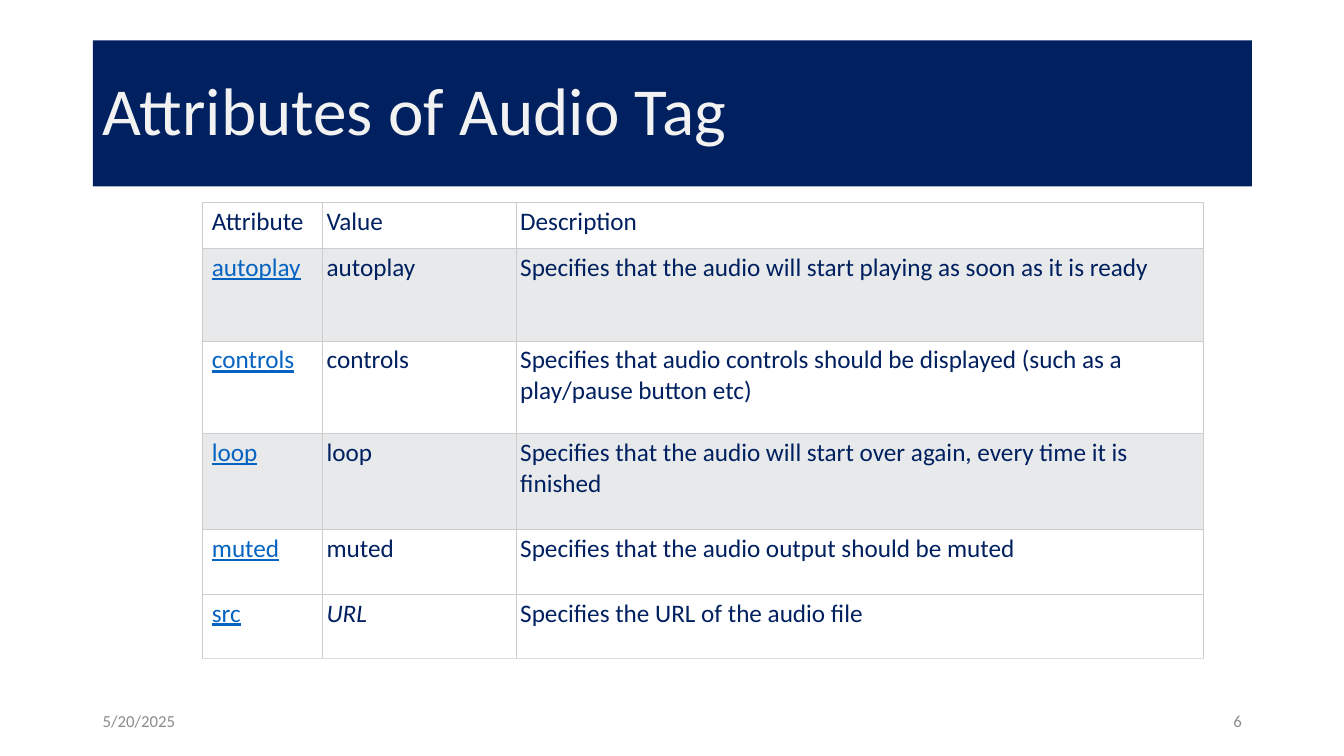
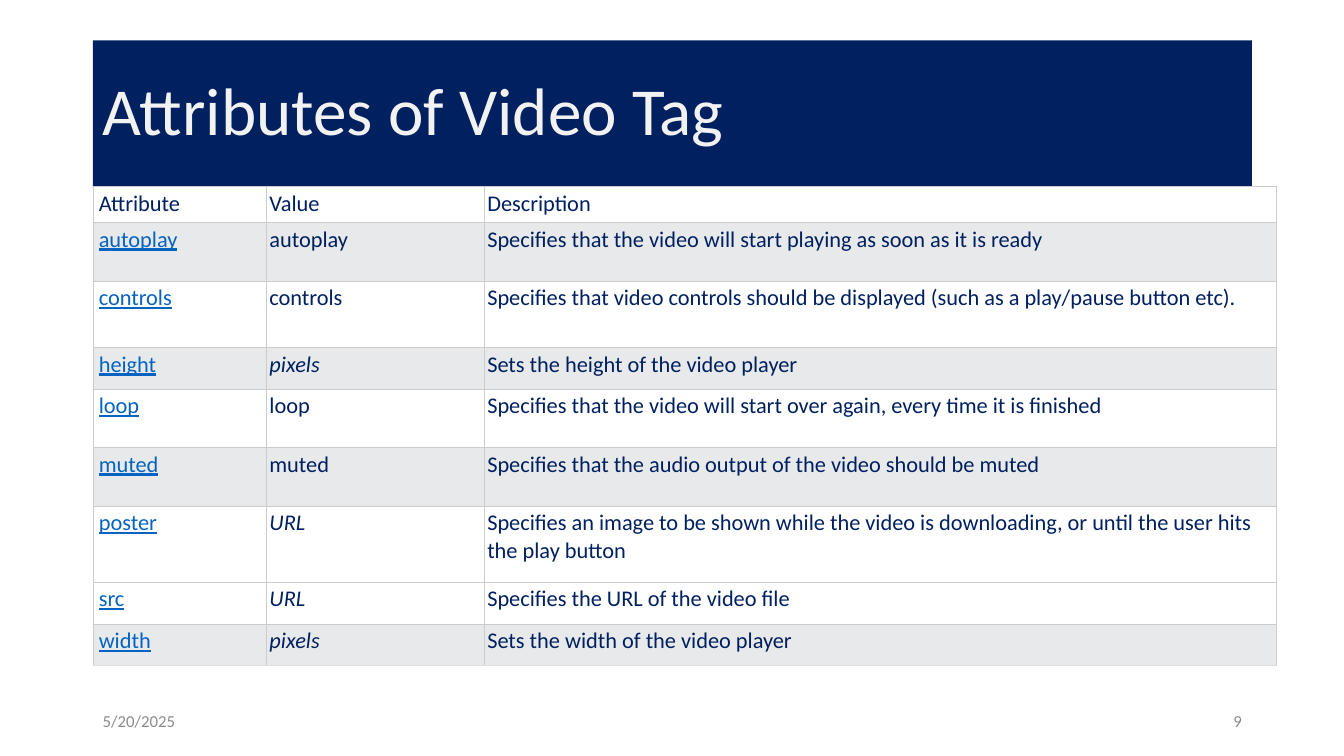
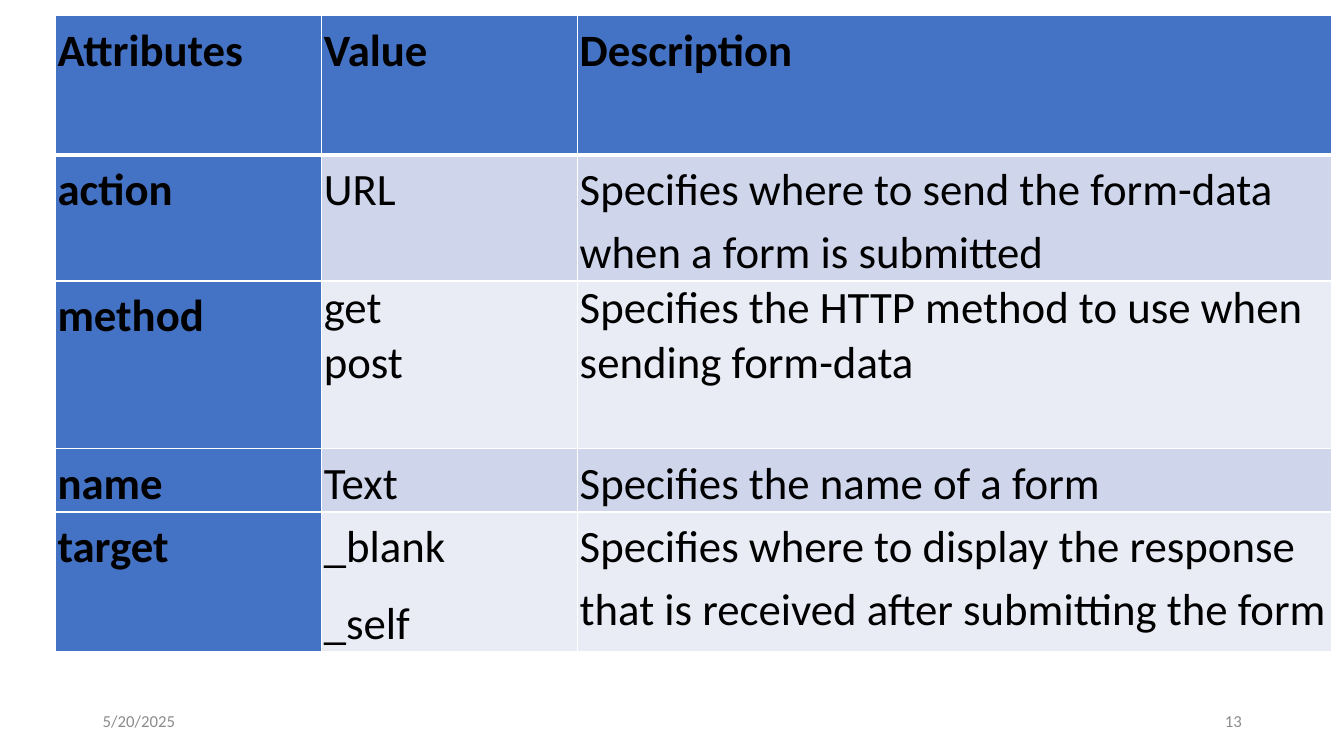
from collections.abc import Callable
from dataclasses import dataclass

from lxml import etree
from pptx import Presentation
from pptx.dml.color import RGBColor
from pptx.enum.shapes import MSO_SHAPE
from pptx.enum.text import MSO_ANCHOR, PP_ALIGN
from pptx.oxml.ns import qn
from pptx.slide import Slide
from pptx.table import _Cell
from pptx.text.text import TextFrame
from pptx.util import Cm, Pt

NAVY = RGBColor(0x00, 0x20, 0x60)
OFF_WHITE = RGBColor(0xF2, 0xF2, 0xF2)
WHITE = RGBColor(0xFF, 0xFF, 0xFF)
BLACK = RGBColor(0x00, 0x00, 0x00)
LINK_BLUE = RGBColor(0x05, 0x63, 0xC1)
ROW_GRAY = RGBColor(0xE7, 0xE9, 0xEB)
GRID_GRAY = RGBColor(0xCC, 0xCC, 0xCC)
GRID_END_GRAY = RGBColor(0xDD, 0xDD, 0xDD)
FOOTER_GRAY = RGBColor(0x8C, 0x8C, 0x8C)
HEAD_BLUE = RGBColor(0x44, 0x72, 0xC4)
BAND_DARK = RGBColor(0xCF, 0xD5, 0xEA)
BAND_LIGHT = RGBColor(0xE9, 0xEB, 0xF5)

FONT = "Calibri"
DATE = "5/20/2025"
RECTANGLE = MSO_SHAPE.RECTANGLE
MIDDLE = MSO_ANCHOR.MIDDLE
TOP = MSO_ANCHOR.TOP
LEFT = PP_ALIGN.LEFT
RIGHT = PP_ALIGN.RIGHT
BLANK_LAYOUT = 6

CONTENT_LEFT = 2.34
CONTENT_WIDTH = 29.21
FOOTER_TOP = 17.65
FOOTER_WIDTH = 7.62
FOOTER_HEIGHT = 1.01
PLACEHOLDER_VALUES = {"URL", "pixels"}


@dataclass(frozen=True)
class CellLook:
    fill: RGBColor
    color: RGBColor
    grid: RGBColor
    grid_below: RGBColor
    grid_width: float
    grid_below_width: float
    bold: bool = False
    italic: bool = False
    underline: bool = False
    line_spacing: float = 1.0
    space_after: float = 0


@dataclass(frozen=True)
class AttributeTable:
    """Lengths are centimetres; insets are first column, other columns, vertical."""
    left: float
    top: float
    columns: tuple[float, ...]
    heights: tuple[float, ...]
    font_size: int
    insets: tuple[float, float, float]
    rows: tuple[tuple[str, str, str], ...]
    look: Callable[["AttributeTable", int, int], CellLook]
    shaded_rows: tuple[int, ...]


@dataclass(frozen=True)
class AttributeSlide:
    title: str
    number: int
    table: AttributeTable


def reference_look(table: AttributeTable, row: int, column: int) -> CellLook:
    """Thin grey grid, with attribute names set like links."""
    is_name = row > 0 and column == 0
    is_last = row == len(table.rows) - 1
    return CellLook(
        fill=ROW_GRAY if row in table.shaded_rows else WHITE,
        color=LINK_BLUE if is_name else NAVY,
        grid=GRID_GRAY,
        grid_below=GRID_END_GRAY if is_last else GRID_GRAY,
        grid_width=0.5,
        grid_below_width=0.5,
        italic=column == 1 and table.rows[row][column] in PLACEHOLDER_VALUES,
        underline=is_name,
    )


def form_look(table: AttributeTable, row: int, column: int) -> CellLook:
    """Blue header row and first column over blue bands."""
    is_head = row == 0 or column == 0
    band = BAND_DARK if row in table.shaded_rows else BAND_LIGHT
    is_compact = table.rows[row][0] == "method" and column > 0
    return CellLook(
        fill=HEAD_BLUE if is_head else band,
        color=BLACK,
        grid=WHITE,
        grid_below=WHITE,
        grid_width=1,
        grid_below_width=3 if row == 0 else 1,
        bold=is_head,
        line_spacing=1.0 if is_compact else 1.15,
        space_after=0 if is_compact else 10,
    )


AUDIO = AttributeTable(
    left=5.11, top=5.11,
    columns=(3.02, 4.88, 17.32),
    heights=(1.15, 2.33, 2.33, 2.42, 1.63, 1.63),
    font_size=18, insets=(0.23, 0.1, 0.1),
    look=reference_look, shaded_rows=(1, 3),
    rows=(
        ("Attribute", "Value", "Description"),
        ("autoplay", "autoplay", "Specifies that the audio will start playing as soon as it is ready"),
        ("controls", "controls",
         "Specifies that audio controls should be displayed (such as a play/pause button etc)"),
        ("loop", "loop", "Specifies that the audio will start over again, every time it is finished"),
        ("muted", "muted", "Specifies that the audio output should be muted"),
        ("src", "URL", "Specifies the URL of the audio file"),
    ),
)

VIDEO = AttributeTable(
    left=CONTENT_LEFT, top=4.7,
    columns=(4.37, 5.49, 19.96),
    heights=(0.91, 1.48, 1.67, 1.05, 1.47, 1.48, 1.91, 1.05, 1.05),
    font_size=16, insets=(0.15, 0.08, 0.08),
    look=reference_look, shaded_rows=(1, 3, 5, 8),
    rows=(
        ("Attribute", "Value", "Description"),
        ("autoplay", "autoplay", "Specifies that the video will start playing as soon as it is ready"),
        ("controls", "controls",
         "Specifies that video controls should be displayed (such as a play/pause button etc)."),
        ("height", "pixels", "Sets the height of the video player"),
        ("loop", "loop", "Specifies that the video will start over again, every time it is finished"),
        ("muted", "muted", "Specifies that the audio output of the video should be muted"),
        ("poster", "URL",
         "Specifies an image to be shown while the video is downloading, "
         "or until the user hits the play button"),
        ("src", "URL", "Specifies the URL of the video file"),
        ("width", "pixels", "Sets the width of the video player"),
    ),
)

FORM = AttributeTable(
    left=1.4, top=0.39,
    columns=(6.71, 6.45, 19.0),
    heights=(3.51, 3.18, 4.22, 1.6, 3.51),
    font_size=32, insets=(0.05, 0.05, 0),
    look=form_look, shaded_rows=(1, 3),
    rows=(
        ("Attributes", "Value", "Description"),
        ("action", "URL", "Specifies where to send the form-data when a form is submitted"),
        ("method", "get\npost", "Specifies the HTTP method to use when sending form-data"),
        ("name", "Text", "Specifies the name of a form"),
        ("target", "_blank\n_self",
         "Specifies where to display the response that is received after submitting the form"),
    ),
)

SLIDES = (
    AttributeSlide("Attributes of Audio Tag", 6, AUDIO),
    AttributeSlide("Attributes of Video Tag", 9, VIDEO),
    AttributeSlide("", 13, FORM),
)


def write_text(frame: TextFrame, text: str, *, size: float, color: RGBColor,
               bold: bool = False, italic: bool = False, underline: bool = False,
               align: PP_ALIGN = LEFT, anchor: MSO_ANCHOR = MIDDLE,
               line_spacing: float = 1.0, space_after: float = 0) -> None:
    """Write each line of text as a paragraph."""
    frame.word_wrap = True
    frame.vertical_anchor = anchor
    for index, line in enumerate(text.split("\n")):
        paragraph = frame.add_paragraph() if index else frame.paragraphs[0]
        paragraph.alignment = align
        paragraph.line_spacing = line_spacing
        paragraph.space_after = Pt(space_after)
        run = paragraph.add_run()
        run.text = line
        font = run.font
        font.name, font.size = FONT, Pt(size)
        font.bold, font.italic, font.underline = bold, italic, underline
        font.color.rgb = color


def add_title(slide: Slide, title: str) -> None:
    band = slide.shapes.add_shape(RECTANGLE, Cm(CONTENT_LEFT), Cm(1.02),
                                  Cm(CONTENT_WIDTH), Cm(3.68))
    band.shadow.inherit = False
    band.fill.solid()
    band.fill.fore_color.rgb = NAVY
    band.line.fill.background()
    write_text(band.text_frame, title, size=48, color=OFF_WHITE, line_spacing=0.9)


def add_footer(slide: Slide, number: int) -> None:
    number_left = CONTENT_LEFT + CONTENT_WIDTH - FOOTER_WIDTH
    for left, text, align in ((CONTENT_LEFT, DATE, LEFT), (number_left, str(number), RIGHT)):
        footer = slide.shapes.add_textbox(Cm(left), Cm(FOOTER_TOP),
                                          Cm(FOOTER_WIDTH), Cm(FOOTER_HEIGHT))
        write_text(footer.text_frame, text, size=12, color=FOOTER_GRAY, align=align)


def set_borders(cell: _Cell, look: CellLook) -> None:
    properties = cell._tc.get_or_add_tcPr()
    for position, side in enumerate(("lnL", "lnR", "lnT", "lnB")):
        below = side == "lnB"
        width = look.grid_below_width if below else look.grid_width
        color = look.grid_below if below else look.grid
        border = etree.Element(qn(f"a:{side}"), w=str(Pt(width)))
        fill = etree.SubElement(border, qn("a:solidFill"))
        etree.SubElement(fill, qn("a:srgbClr"), val=str(color))
        properties.insert(position, border)


def fill_cell(cell: _Cell, text: str, table: AttributeTable, look: CellLook,
              left_inset: float) -> None:
    _, side_inset, vertical_inset = table.insets
    cell.margin_left, cell.margin_right = Cm(left_inset), Cm(side_inset)
    cell.margin_top = cell.margin_bottom = Cm(vertical_inset)
    cell.vertical_anchor = TOP
    cell.fill.solid()
    cell.fill.fore_color.rgb = look.fill
    set_borders(cell, look)
    write_text(cell.text_frame, text, size=table.font_size, color=look.color,
               bold=look.bold, italic=look.italic, underline=look.underline, anchor=TOP,
               line_spacing=look.line_spacing, space_after=look.space_after)


def add_attribute_table(slide: Slide, table: AttributeTable) -> None:
    grid = slide.shapes.add_table(
        len(table.rows), len(table.columns), Cm(table.left), Cm(table.top),
        Cm(sum(table.columns)), Cm(sum(table.heights))).table
    grid.first_row = grid.horz_banding = False
    for column, width in zip(grid.columns, table.columns):
        column.width = Cm(width)
    for row, height in zip(grid.rows, table.heights):
        row.height = Cm(height)
    for row_index, texts in enumerate(table.rows):
        for column_index, text in enumerate(texts):
            fill_cell(grid.cell(row_index, column_index), text, table,
                      table.look(table, row_index, column_index),
                      table.insets[min(column_index, 1)])


def main() -> None:
    deck = Presentation()
    deck.slide_width, deck.slide_height = Cm(33.87), Cm(19.05)
    for content in SLIDES:
        slide = deck.slides.add_slide(deck.slide_layouts[BLANK_LAYOUT])
        if content.title:
            add_title(slide, content.title)
        add_attribute_table(slide, content.table)
        add_footer(slide, content.number)
    deck.save("out.pptx")


if __name__ == "__main__":
    main()
